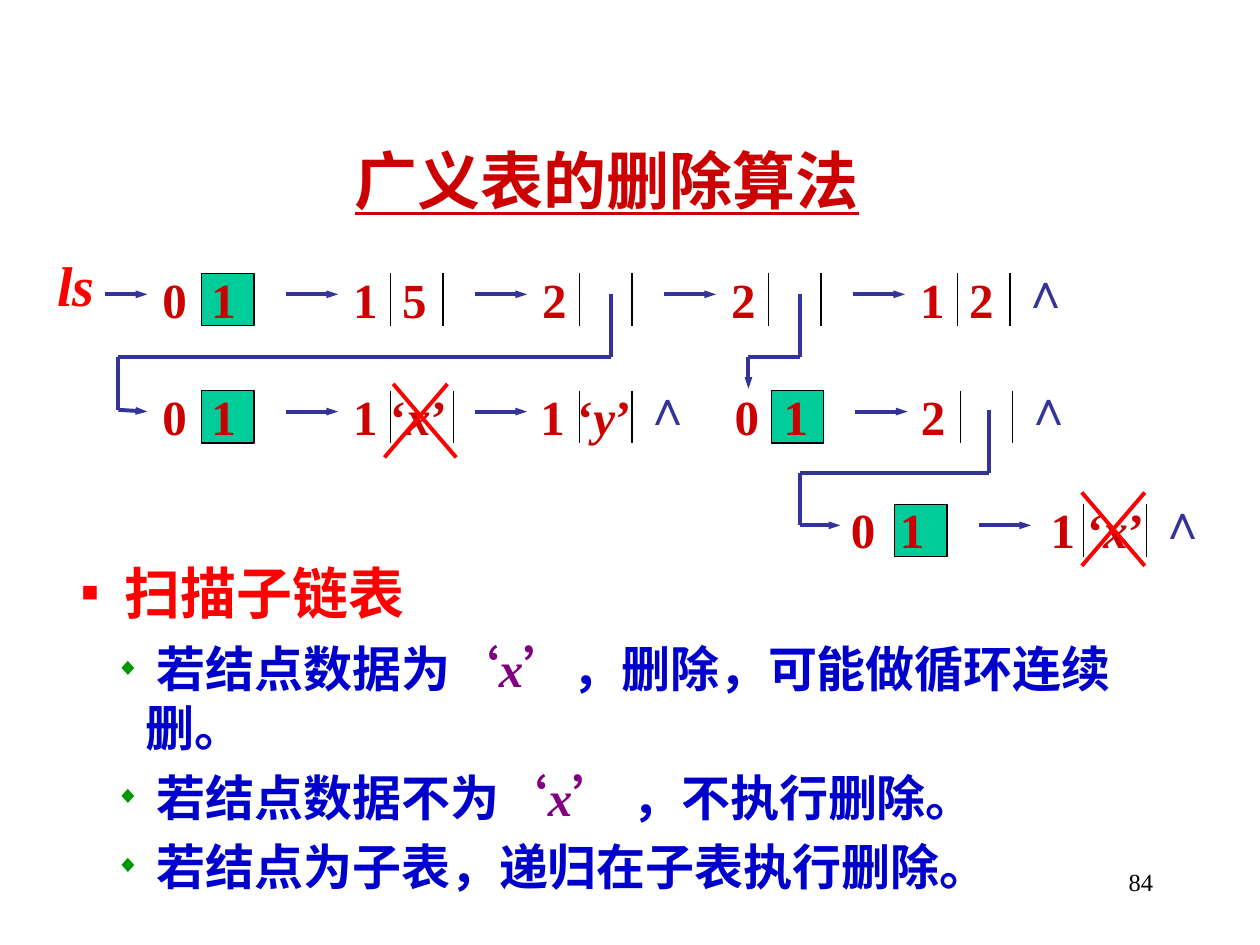
from itertools import pairwise

from lxml import etree
from pptx import Presentation
from pptx import util as u
from pptx.dml.color import RGBColor
from pptx.enum import shapes, text
from pptx.oxml.ns import qn

Pt = u.Pt
LATIN, HAN = "Times New Roman", "Noto Sans CJK SC"
COLORS = {
    "title": "CC0000", "node": "CC0000", "link": "333399", "flag": "00CC99",
    "black": "000000", "alert": "FF0000", "body": "0000CC", "quote": "800080",
    "diamond": "009900",
}
PITCH, CELL, LEAD, ARROW_Y = 108, 30, 28.5, 12


def color(name):
    """Return the named colour."""
    return RGBColor.from_string(COLORS[name])


def add_run(paragraph, words, size, tint, bold=True, italic=False, face=LATIN):
    """Append one formatted run."""
    run = paragraph.add_run()
    run.text = words
    font = run.font
    font.name, font.size, font.bold, font.italic = face, Pt(size), bold, italic
    font.color.rgb = color(tint)
    latin = run._r.rPr.find(qn("a:latin"))
    latin.addnext(etree.Element(qn("a:ea"), typeface=HAN))
    return run


def add_text(slide, left, top, width, height, wrap=False):
    """Add a text box and return its frame."""
    frame = slide.shapes.add_textbox(Pt(left), Pt(top), Pt(width), Pt(height)).text_frame
    frame.word_wrap = wrap
    return frame


def add_line(slide, start, end, tint="link", weight=2.25, arrow=False):
    """Draw one straight line, with an arrowhead at its end if asked."""
    line = slide.shapes.add_connector(
        shapes.MSO_CONNECTOR.STRAIGHT, *(Pt(v) for v in (*start, *end)))
    line.line.color.rgb = color(tint)
    line.line.width = Pt(weight)
    if arrow:
        etree.SubElement(line.line._get_or_add_ln(), qn("a:tailEnd"),
                         type="triangle", w="sm", len="med")
    etree.SubElement(line._element.spPr, qn("a:effectLst"))


def add_route(slide, points):
    """Draw a bent link whose last leg has the arrowhead."""
    legs = list(pairwise(points))
    for leg in legs:
        add_line(slide, *leg, arrow=leg is legs[-1])


def add_cross(slide, left, top, width, height, lean):
    """Strike out the given box, with the strokes moved apart by the lean."""
    right, bottom = left + width, top + height
    add_line(slide, (left + lean, top), (right + lean, bottom), "alert")
    add_line(slide, (right - lean, top), (left - lean, bottom), "alert")


def add_node(slide, left, top, tag, value="", kind="plain", last=False, strike=None,
             lead=LEAD):
    """Place a list node whose middle cell starts at left, top."""
    width = 36 if strike else CELL
    right = left + width
    if kind == "flag":
        cell = slide.shapes.add_shape(
            shapes.MSO_SHAPE.RECTANGLE, Pt(left), Pt(top), Pt(CELL), Pt(CELL))
        cell.shadow.inherit = False
        cell.fill.solid()
        cell.fill.fore_color.rgb = color("flag")
        cell.line.color.rgb = color("black")
        cell.line.width = Pt(0.75)
    else:
        for x in (left, right):
            add_line(slide, (x, top), (x, top + CELL), "black", 0.75)
    label_width = 68 if kind == "atom" else 56.4 if value else 28.8
    label = add_text(slide, left - lead, top - 6, label_width, 41).paragraphs[0]
    if kind == "atom":
        add_run(label, tag + " ‘", 28, "node")
        add_run(label, value, 28, "node", italic=True)
        add_run(label, "’", 28, "node")
    elif value:
        tabs = etree.SubElement(label._p.get_or_add_pPr(), qn("a:tabLst"))
        etree.SubElement(tabs, qn("a:tab"), pos=str(Pt(28)), algn="l")
        add_run(label, f"{tag}\t{value}", 28, "node")
    else:
        add_run(label, tag, 28, "node")
    if last:
        caret = add_text(slide, right - 0.5, top - 11.5, 31.7, 41).paragraphs[0]
        add_run(caret, "∧", 28, "link")
    else:
        add_line(slide, (left + 48, top + ARROW_Y), (left + 78, top + ARROW_Y), arrow=True)
    if strike:
        lean, rise = strike
        add_cross(slide, left - 1, top - rise, width, 42, lean)


def add_chain(slide, left, top, nodes):
    """Place nodes at equal steps to the right."""
    for column, node in enumerate(nodes):
        add_node(slide, left + column * PITCH, top, **node)


def add_diagram(slide, left, top):
    """Draw the generalized list, with its first cell at left, top."""
    flag = dict(tag="0", value="1", kind="flag", lead=29.5)
    doomed = dict(tag="1", value="x", kind="atom")
    second, third = top + 67, top + 132
    add_chain(slide, left, top, [
        flag, dict(tag="1", value="5"), dict(tag="2"), dict(tag="2"),
        dict(tag="1", value="2", last=True)])
    add_chain(slide, left, second, [
        flag, dict(doomed, strike=(2.5, 3.8)),
        dict(tag="1", value="y", kind="atom", last=True, lead=29.5)])
    add_chain(slide, left + 325.5, second, [
        dict(flag, lead=28), dict(tag="2", last=True, lead=29.5)])
    add_chain(slide, left + 396, third, [
        dict(flag, lead=32), dict(doomed, last=True, strike=(0, 6.8), lead=26)])

    head = add_text(slide, left - 89.5, top - 16.5, 36, 45).paragraphs[0]
    add_run(head, "ls", 32, "alert", italic=True)
    routes = [
        [(-55, 12), (-31, 12)],
        [(234, 12), (234, 48), (-47.5, 48), (-47.5, 78), (-31, 79)],
        [(342, 12), (342, 48), (312.5, 48), (312.5, 66)],
        [(450, 78), (450, 114), (342, 114), (342, 144), (365, 144)],
    ]
    for route in routes:
        add_route(slide, [(left + x, top + y) for x, y in route])


def add_bullet(paragraph, mark, tint, margin, hang):
    """Give a paragraph a coloured half-size bullet."""
    props = paragraph._p.get_or_add_pPr()
    props.set("marL", str(Pt(margin)))
    props.set("indent", str(-Pt(hang)))
    props.set("hangingPunct", "0")
    tone = etree.SubElement(props, qn("a:buClr"))
    etree.SubElement(tone, qn("a:srgbClr"), val=COLORS[tint])
    etree.SubElement(props, qn("a:buSzPct"), val="50000")
    etree.SubElement(props, qn("a:buFont"), typeface=LATIN)
    etree.SubElement(props, qn("a:buChar"), char=mark)


def add_rules(slide, left, top, width, height):
    """Write the heading and the three deletion rules."""
    frame = add_text(slide, left, top, width, height, wrap=True)
    heading = frame.paragraphs[0]
    add_bullet(heading, "■", "alert", 17, 17)
    heading.line_spacing = Pt(38.5)
    add_run(heading, " ", 32, "black")
    add_run(heading, "扫描子链表", 32, "alert")
    rules = [
        (7, "若结点数据为", "’", "，删除，可能做循环连续删。"),
        (5.5, "若结点数据不为", "’ ", "，不执行删除。"),
        (5.5, "若结点为子表，递归在子表执行删除。", None, None),
    ]
    for gap, opening, closing_quote, ending in rules:
        rule = frame.add_paragraph()
        rule.level = 1
        add_bullet(rule, "◆", "diamond", 36.4, 17)
        rule.line_spacing, rule.space_before = Pt(34), Pt(gap)
        add_run(rule, " ", 28, "body")
        add_run(rule, opening, 28, "body")
        if ending:
            add_run(rule, "‘", 28, "quote")
            add_run(rule, "x", 28, "quote", italic=True)
            add_run(rule, closing_quote, 28, "quote")
            add_run(rule, ending, 28, "body")


def add_title(slide, left, top, width, height):
    """Place and format the slide title."""
    title = slide.shapes.title
    title.left, title.top, title.width, title.height = map(Pt, (left, top, width, height))
    frame = title.text_frame
    frame.auto_size = text.MSO_AUTO_SIZE.NONE
    frame.vertical_anchor = text.MSO_ANCHOR.MIDDLE
    frame.paragraphs[0].alignment = text.PP_ALIGN.LEFT
    run = add_run(frame.paragraphs[0], "广义表的删除算法", 36, "title", face=HAN)
    run.font.underline = True


def add_page_number(slide, left, top, width, height):
    """Write the page number at the right of its box."""
    number = add_text(slide, left, top, width, height, wrap=True).paragraphs[0]
    number.alignment = text.PP_ALIGN.RIGHT
    add_run(number, "84", 14, "black", bold=False)


def main():
    """Build the slide and save it."""
    deck = Presentation()
    deck.slide_width, deck.slide_height = Pt(720), Pt(540)
    slide = deck.slides.add_slide(deck.slide_layouts[5])
    add_page_number(slide, 516, 492, 150, 36)
    add_title(slide, 195.5, 77, 346, 50.5)
    add_rules(slide, 39.6, 315.4, 646, 171)
    add_diagram(slide, 115.2, 156.2)
    deck.save("out.pptx")


if __name__ == "__main__":
    main()
